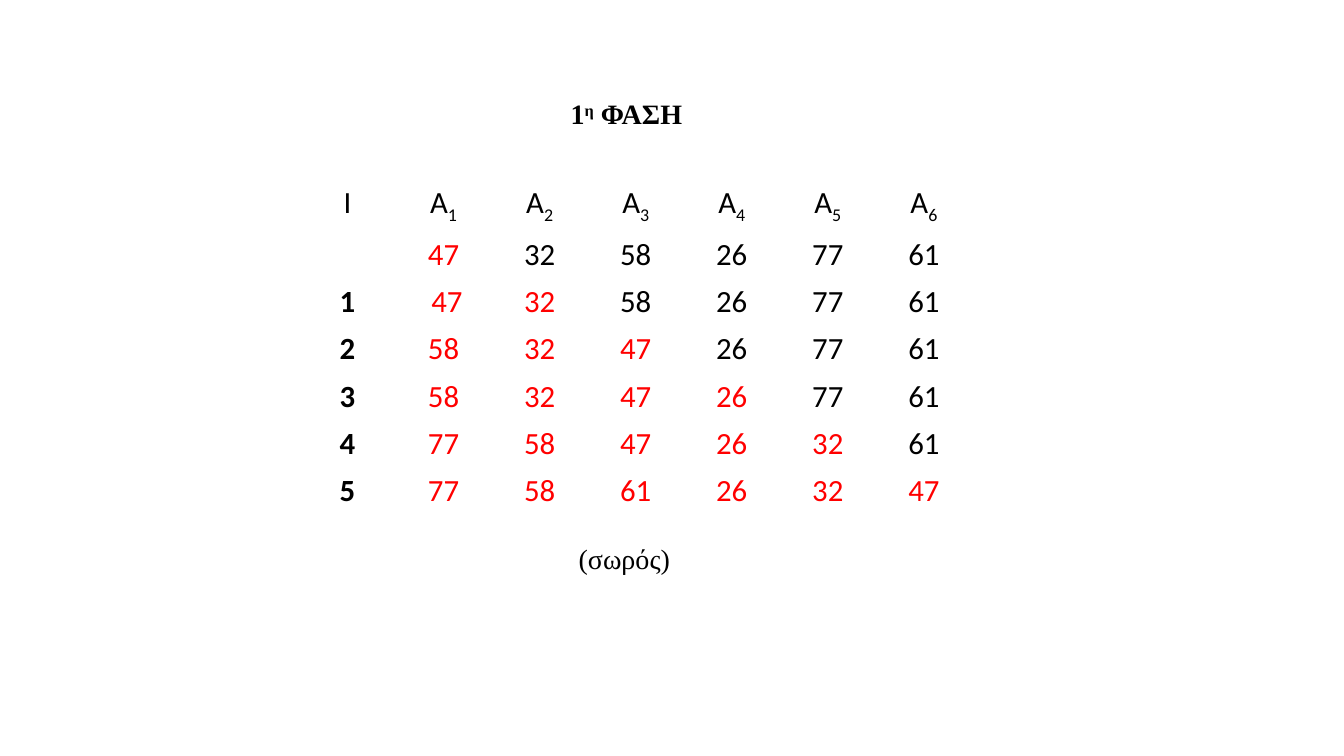
"""Build the slide that shows the first phase of heap sort."""
import dataclasses
import pptx
import pptx.dml.color
import pptx.enum.text
import pptx.util

Inches = pptx.util.Inches
Align = pptx.enum.text.PP_ALIGN


@dataclasses.dataclass
class Theme:
    ink: str = "000000"
    heap: str = "FF0000"
    serif: str = "Times New Roman"
    sans: str = "Calibri"
    label: int = 20
    cell: int = 22


theme = Theme()


def write(frame, text, font=theme.sans, size=theme.cell, color=theme.ink,
          bold=False, align=Align.CENTER, base=0):
    para = frame.paragraphs[0]
    para.alignment = align
    run = para.add_run()
    run.text = text
    run.font.name = font
    run.font.size = pptx.util.Pt(size)
    run.font.bold = bold
    run.font.color.rgb = pptx.dml.color.RGBColor.from_string(color)
    if base:
        run._r.get_or_add_rPr().set("baseline", str(base * 1000))


deck = pptx.Presentation()
deck.slide_width = Inches(13.33)
deck.slide_height = Inches(7.5)
slide = deck.slides.add_slide(deck.slide_layouts[5])

title = slide.shapes.title
title.left, title.top = Inches(5.56), Inches(0.91)
title.width, title.height = Inches(4.88), Inches(0.44)
note = slide.shapes.add_textbox(
    Inches(5.64), Inches(5.32), Inches(4.88), Inches(0.44))
for box in (title, note):
    box.text_frame.word_wrap = True
    box.text_frame.auto_size = pptx.enum.text.MSO_AUTO_SIZE.SHAPE_TO_FIT_TEXT
    box.text_frame.vertical_anchor = pptx.enum.text.MSO_ANCHOR.TOP

label = dict(font=theme.serif, size=theme.label, align=Align.LEFT)
for text, base in (("1", 0), ("η", 30), (" ΦΑΣΗ", 0)):
    write(title.text_frame, text, bold=True, base=base, **label)
write(note.text_frame, "(σωρός)", **label)

steps = [
    ("", "47", "32", "58", "26", "77", "61"),
    ("1", " 47", "32", "58", "26", "77", "61"),
    ("2", "58", "32", "47", "26", "77", "61"),
    ("3", "58", "32", "47", "26", "77", "61"),
    ("4", "77", "58", "47", "26", "32", "61"),
    ("5", "77", "58", "61", "26", "32", "47"),
]
count = len(steps[0])
grid = slide.shapes.add_table(
    len(steps) + 1, count,
    Inches(2.97), Inches(1.78), Inches(6.67), Inches(3.27)).table
for cell in grid.iter_cells():
    cell.fill.background()

write(grid.cell(0, 0).text_frame, "Ι")
for col in range(1, count):
    head = grid.cell(0, col).text_frame
    write(head, "Α")
    write(head, str(col), base=-25)

for row, step in enumerate(steps, 1):
    for col, value in enumerate(step):
        if value:
            write(grid.cell(row, col).text_frame, value, bold=col == 0,
                  color=theme.heap if 0 < col <= row else theme.ink)

deck.save("out.pptx")
